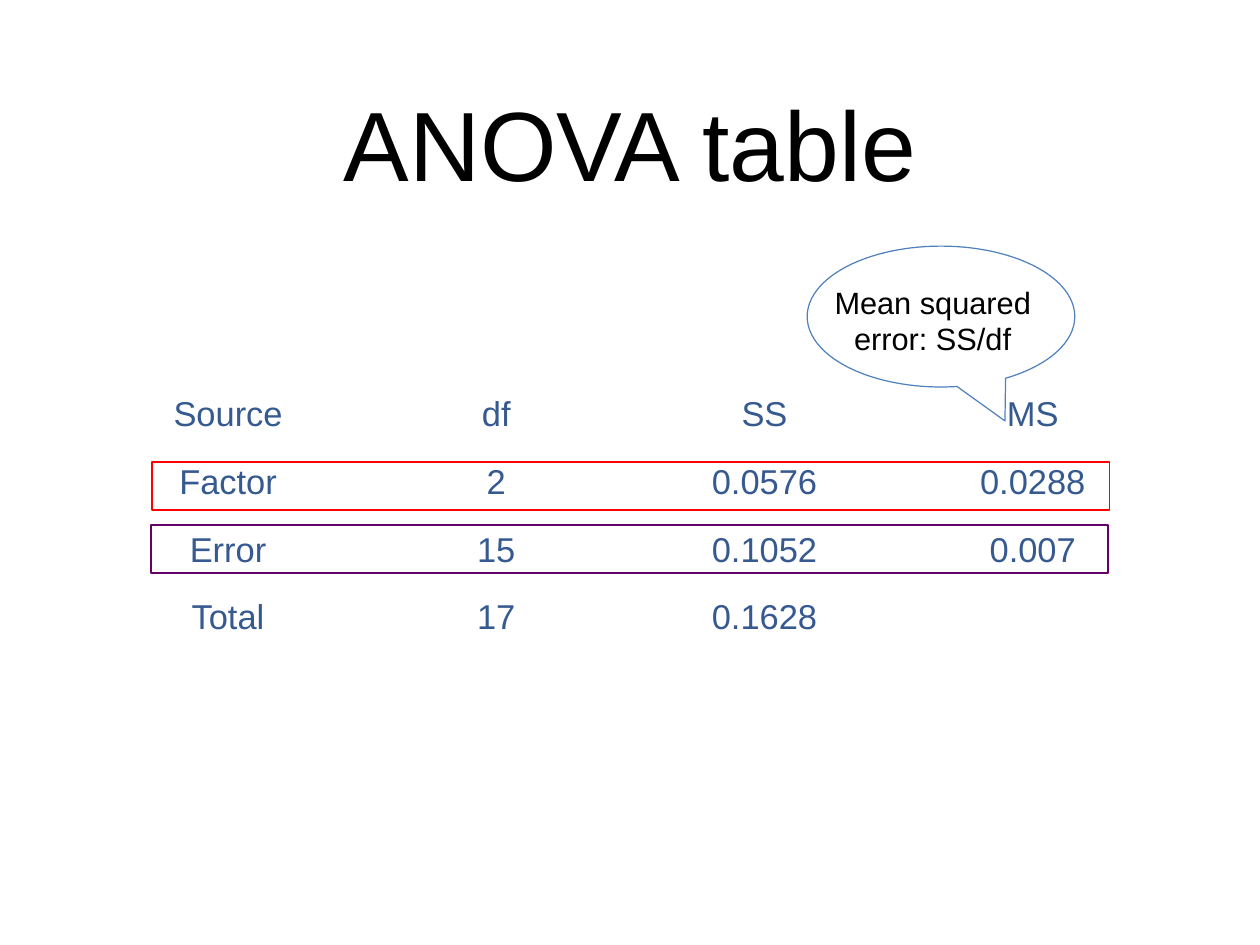
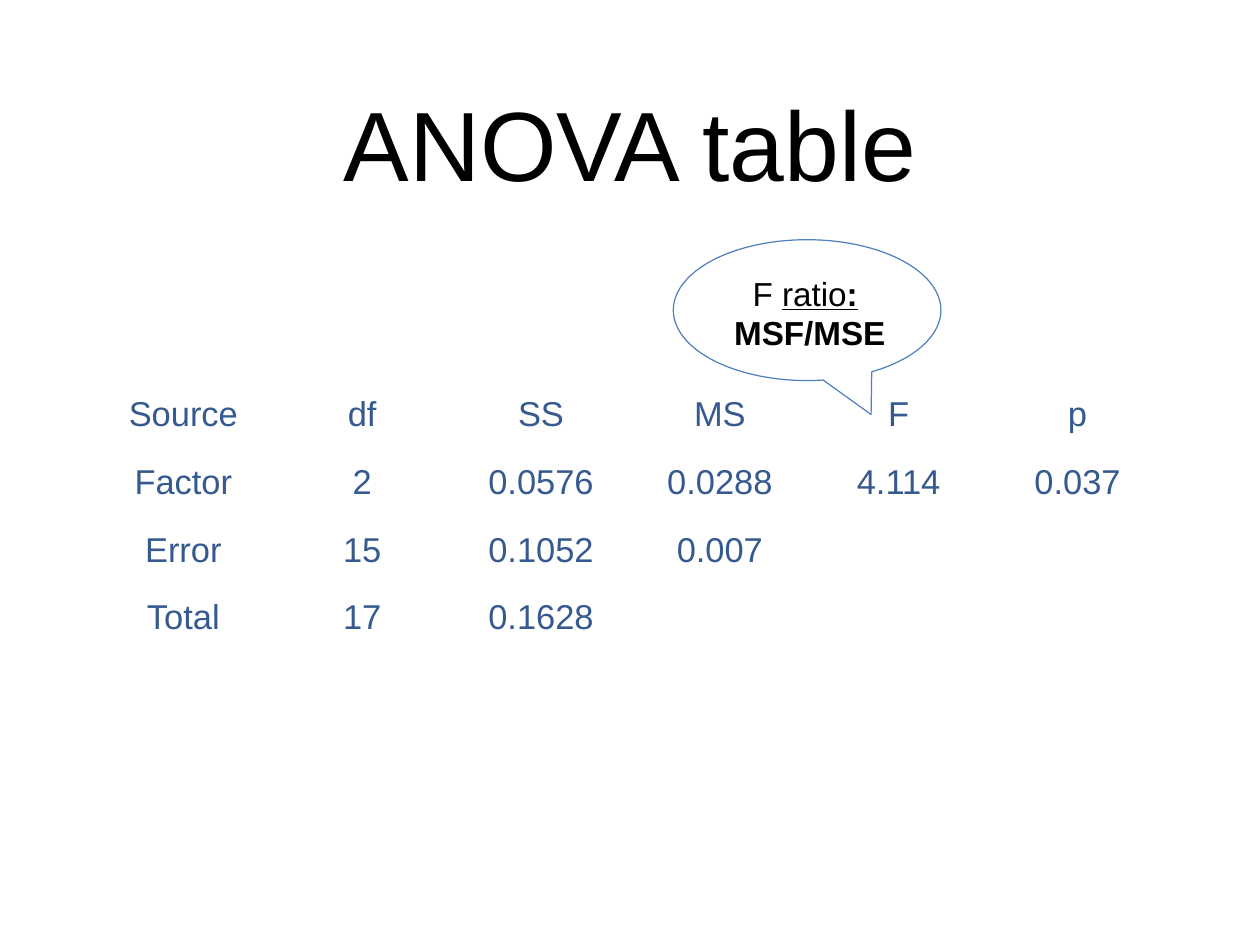
from pptx import Presentation
from pptx.dml.color import RGBColor
from pptx.enum.shapes import MSO_SHAPE as Shape
from pptx.enum.text import MSO_ANCHOR as Anchor, MSO_AUTO_SIZE as AutoSize, PP_ALIGN as Align
from pptx.util import Pt

FONT = "Arial"
BLACK, TABLE_BLUE, CALLOUT_BLUE = "000000", "365A90", "4F81BD"
FACTOR_RED, ERROR_PURPLE = "FF0000", "660066"
TITLE_ONLY = 5


def color(hex_code):
    return RGBColor.from_string(hex_code)


def points(*lengths):
    return [Pt(length) for length in lengths]


def add_text(paragraph, text, size, ink=BLACK, bold=False, underline=False):
    paragraph.alignment = Align.CENTER
    run = paragraph.add_run()
    run.text = text
    font = run.font
    font.name, font.size, font.bold, font.underline = FONT, Pt(size), bold, underline
    font.color.rgb = color(ink)


class AnovaDeck:
    """Holds the shared style and the slide being filled."""

    title_box = (75, 32, 874, 167)
    table_left, table_top, table_width, row_height = 76.3, 309.6, 872, 55
    callout_size = (217.5, 114.5)
    band_size = (778, 39)

    def __init__(self):
        self.deck = Presentation()
        self.deck.slide_width, self.deck.slide_height = points(1024, 768)
        self.slide = None

    def start_slide(self, heading):
        self.slide = self.deck.slides.add_slide(self.deck.slide_layouts[TITLE_ONLY])
        title = self.slide.shapes.title
        title.left, title.top, title.width, title.height = points(*self.title_box)
        self.frame(title.text_frame)
        add_text(title.text_frame.paragraphs[0], heading, 80)

    def frame(self, text_frame):
        text_frame.word_wrap = True
        text_frame.auto_size = AutoSize.NONE
        text_frame.vertical_anchor = Anchor.MIDDLE
        (text_frame.margin_left, text_frame.margin_top,
         text_frame.margin_right, text_frame.margin_bottom) = points(*[4.5] * 4)

    def table(self, rows):
        """Draw equal columns; the first row sets their number."""
        columns = len(rows[0])
        box = points(self.table_left, self.table_top, self.table_width,
                     self.row_height * len(rows))
        grid = self.slide.shapes.add_table(len(rows), columns, *box).table
        grid.first_row = grid.horz_banding = False
        for cell in grid.iter_cells():
            cell.fill.background()
            cell.vertical_anchor = Anchor.MIDDLE
            (cell.margin_left, cell.margin_top,
             cell.margin_right, cell.margin_bottom) = points(*[3] * 4)
        for r, row in enumerate(rows):
            for c, entry in enumerate(row):
                add_text(grid.cell(r, c).text_frame.paragraphs[0], entry, 28, TABLE_BLUE)

    def outline(self, preset, box, ink, width):
        shape = self.slide.shapes.add_shape(preset, *points(*box))
        shape.shadow.inherit = False
        shape.fill.background()
        shape.line.color.rgb = color(ink)
        shape.line.width = Pt(width)
        return shape

    def callout(self, left, top):
        bubble = self.outline(Shape.OVAL_CALLOUT, (left, top, *self.callout_size),
                              CALLOUT_BLUE, 1)
        bubble.adjustments[0], bubble.adjustments[1] = 0.239, 0.741

    def caption(self, box, size, lines):
        """Write lines, each a list of (text, format) pairs."""
        text_frame = self.slide.shapes.add_textbox(*points(*box)).text_frame
        self.frame(text_frame)
        for i, line in enumerate(lines):
            paragraph = text_frame.add_paragraph() if i else text_frame.paragraphs[0]
            for text, style in line:
                add_text(paragraph, text, size, **style)

    def band(self, left, top, ink):
        self.outline(Shape.RECTANGLE, (left, top, *self.band_size), ink, 1.5)


def main():
    sources = [
        ["Source", "df", "SS", "MS"],
        ["Factor", "2", "0.0576", "0.0288"],
        ["Error", "15", "0.1052", "0.007"],
        ["Total", "17", "0.1628"],
    ]
    f_test = [["F", "p"], ["4.114", "0.037"], [], []]
    anova = AnovaDeck()

    anova.start_slide("ANOVA table")
    anova.table(sources)
    anova.callout(656, 200)
    anova.caption((664, 226, 188, 68.4), 25, [[("Mean squared error: SS/df", {})]])
    anova.band(123.8, 375.8, FACTOR_RED)
    anova.band(122.4, 426.6, ERROR_PURPLE)

    anova.start_slide("ANOVA table")
    anova.table([row + test for row, test in zip(sources, f_test)])
    anova.callout(547.2, 194.8)
    anova.caption((571.7, 217.4, 172.8, 73.4), 27, [
        [("F ", {}), ("ratio", {"underline": True}),
         (":", {"underline": True, "bold": True}), (" ", {"bold": True})],
        [("MSF/MSE", {"bold": True})],
    ])

    anova.deck.save("out.pptx")


if __name__ == "__main__":
    main()
